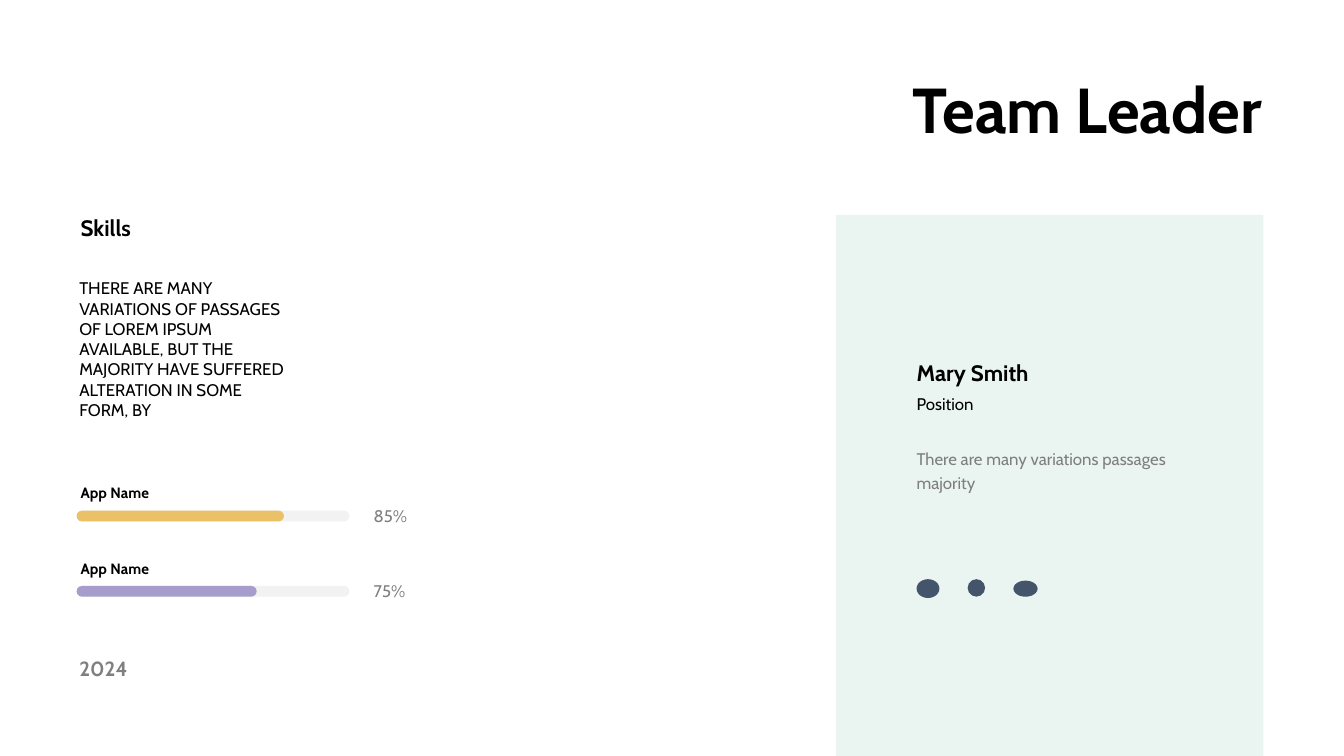
"""Build a team leader slide with skill bars and a profile panel."""
from dataclasses import dataclass

import pptx
import pptx.dml.color
import pptx.enum.shapes
import pptx.enum.text
import pptx.util

SHAPE = pptx.enum.shapes.MSO_SHAPE
ALIGN = pptx.enum.text.PP_ALIGN
FIT = pptx.enum.text.MSO_AUTO_SIZE
CELL = pptx.util.Inches(0.1)
COLS, ROWS = 100, 56.25


@dataclass(frozen=True)
class Theme:
    font: str = "Cabin"
    ink: str = "000000"
    muted: str = "7F7F7F"
    panel: str = "EAF5F2"
    track: str = "F2F2F2"
    gold: str = "EAC167"
    violet: str = "A69DCC"
    icon: str = "44546A"
    title: int = 34
    heading: int = 12
    year: int = 11
    body: int = 9
    label: int = 8


@dataclass(frozen=True)
class Box:
    col: float
    row: float
    cols: float
    rows: float

    def emu(self) -> list[int]:
        return [round(v * CELL) for v in (self.col, self.row, self.cols, self.rows)]


@dataclass(frozen=True)
class Label:
    text: str
    box: Box
    size: int
    color: str
    bold: bool = False
    align: ALIGN = ALIGN.LEFT
    spacing: float = 1.0
    fit: FIT = FIT.SHAPE_TO_FIT_TEXT


@dataclass(frozen=True)
class Skill:
    name: str
    value: str
    share: float
    color: str


THEME = Theme()
SKILL_ROW, SKILL_PITCH = 38, 5.6
BAR_COL, BAR_COLS, BAR_ROWS = 5.7, 20.3, 0.8

LABELS = [
    Label("Team Leader", Box(5.9, 4.8, 88.7, 6.5), THEME.title, THEME.ink, True,
          ALIGN.RIGHT, fit=FIT.NONE),
    Label("Skills", Box(5.3, 15.5, 14.2, 2.8), THEME.heading, THEME.ink, True),
    Label("THERE ARE MANY VARIATIONS OF PASSAGES OF LOREM IPSUM AVAILABLE, "
          "BUT THE MAJORITY HAVE SUFFERED ALTERATION IN SOME FORM, BY",
          Box(5.2, 20.3, 16.7, 11.4), THEME.body, THEME.ink),
    Label("2024", Box(5.2, 48.4, 23.7, 2.5), THEME.year, THEME.muted, True),
    Label("Mary Smith", Box(67.5, 26.3, 14.2, 2.8), THEME.heading, THEME.ink, True),
    Label("Position", Box(67.5, 28.9, 14.9, 2.3), THEME.body, THEME.ink),
    Label("There are many variations passages majority",
          Box(67.5, 32.7, 22, 4.1), THEME.body, THEME.muted, spacing=1.2),
]
SKILLS = [
    Skill("App Name", "85%", 0.76, THEME.gold),
    Skill("App Name", "75%", 0.66, THEME.violet),
]
ICONS = [
    Box(68.2, 43.1, 1.7, 1.4),
    Box(72, 43.1, 1.3, 1.3),
    Box(75.4, 43.2, 1.8, 1.2),
]


def add_block(slide, kind: SHAPE, box: Box, color: str) -> None:
    sp = slide.shapes.add_shape(kind, *box.emu())
    sp.shadow.inherit = False
    sp.fill.solid()
    sp.fill.fore_color.rgb = pptx.dml.color.RGBColor.from_string(color)
    sp.line.fill.background()
    if kind == SHAPE.ROUNDED_RECTANGLE:
        sp.adjustments[0] = 0.5


def add_label(slide, label: Label) -> None:
    tf = slide.shapes.add_textbox(*label.box.emu()).text_frame
    tf.word_wrap = True
    tf.auto_size = label.fit
    tf.margin_left = tf.margin_right = pptx.util.Inches(0.07)
    tf.margin_top = tf.margin_bottom = pptx.util.Inches(0.04)
    p = tf.paragraphs[0]
    p.text = label.text
    p.alignment = label.align
    p.line_spacing = label.spacing
    p.font.name = THEME.font
    p.font.size = pptx.util.Pt(label.size)
    p.font.bold = label.bold
    p.font.color.rgb = pptx.dml.color.RGBColor.from_string(label.color)


def add_skill(slide, skill: Skill, row: float) -> None:
    for share, color in ((1, THEME.track), (skill.share, skill.color)):
        bar = Box(BAR_COL, row, BAR_COLS * share, BAR_ROWS)
        add_block(slide, SHAPE.ROUNDED_RECTANGLE, bar, color)
    add_label(slide, Label(skill.name, Box(5.3, row - 2.4, 14.4, 2.1),
                           THEME.label, THEME.ink, True))
    add_label(slide, Label(skill.value, Box(27.1, row - 0.8, 4.9, 2.3),
                           THEME.body, THEME.muted))


def main() -> None:
    prs = pptx.Presentation()
    prs.slide_width, prs.slide_height = round(COLS * CELL), round(ROWS * CELL)
    s = prs.slides.add_slide(prs.slide_layouts[6])
    add_block(s, SHAPE.RECTANGLE, Box(62.2, 16, 31.8, ROWS - 16), THEME.panel)
    for box in ICONS:
        add_block(s, SHAPE.OVAL, box, THEME.icon)
    for i, skill in enumerate(SKILLS):
        add_skill(s, skill, SKILL_ROW + i * SKILL_PITCH)
    for label in LABELS:
        add_label(s, label)
    prs.save("out.pptx")


if __name__ == "__main__":
    main()
